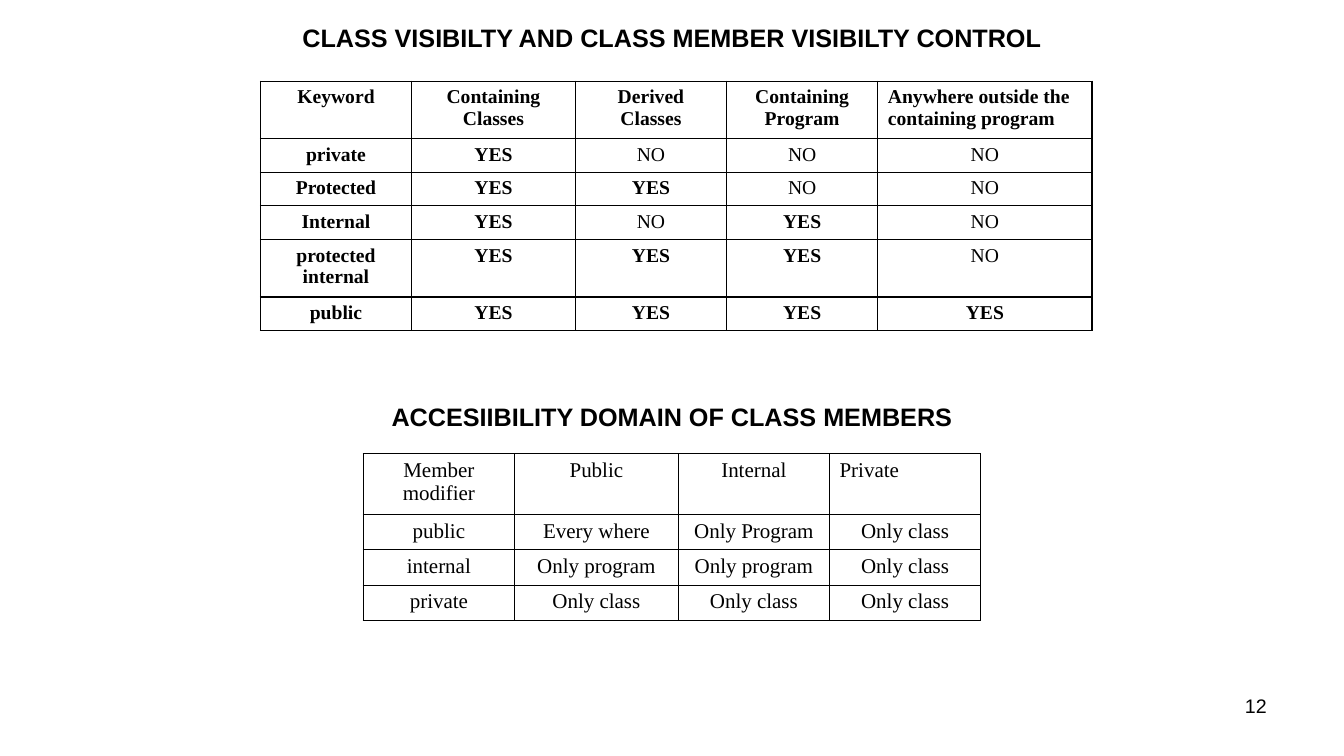
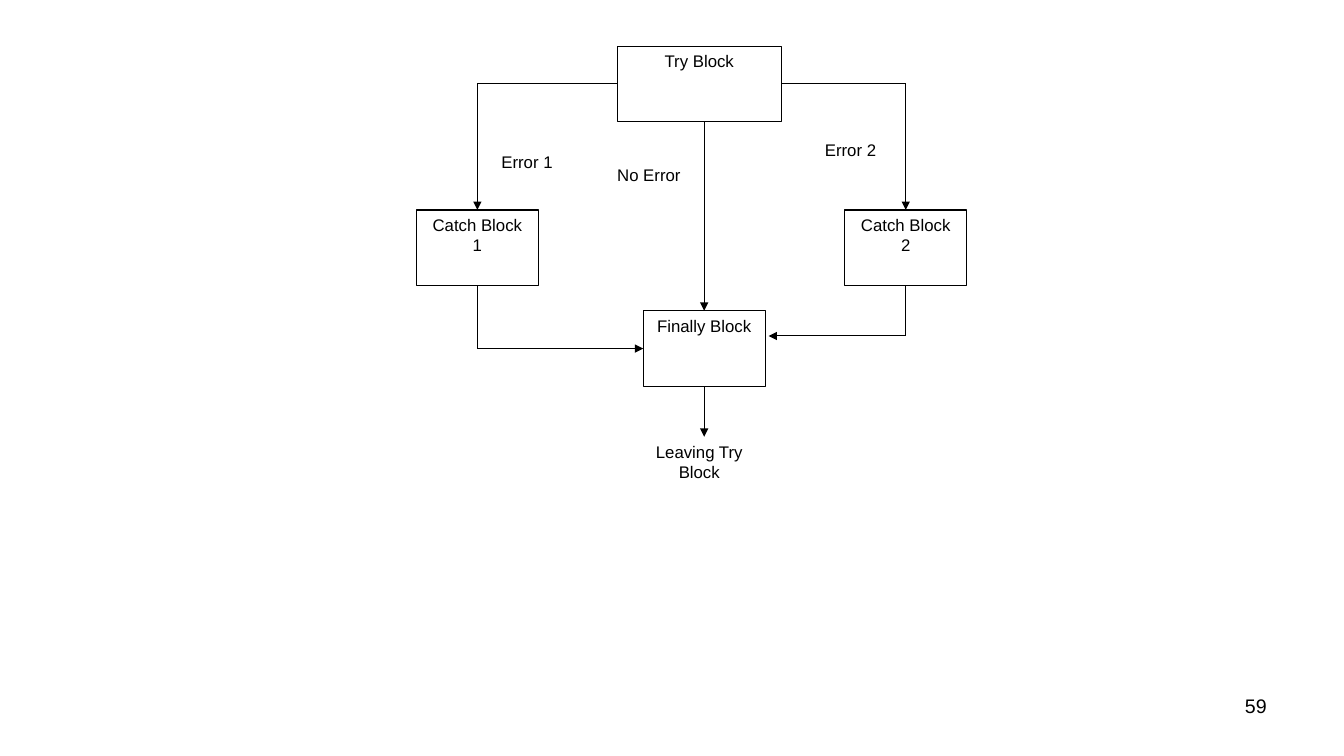
from lxml import etree
from pptx import Presentation
from pptx.dml.color import RGBColor
from pptx.enum.shapes import MSO_CONNECTOR, MSO_SHAPE
from pptx.enum.text import MSO_ANCHOR, PP_ALIGN
from pptx.oxml.ns import qn
from pptx.util import Pt

RECTANGLE = MSO_SHAPE.RECTANGLE
STRAIGHT = MSO_CONNECTOR.STRAIGHT
LEFT, CENTER, RIGHT = PP_ALIGN.LEFT, PP_ALIGN.CENTER, PP_ALIGN.RIGHT
TOP, MIDDLE = MSO_ANCHOR.TOP, MSO_ANCHOR.MIDDLE

BLACK = RGBColor(0x00, 0x00, 0x00)
WHITE = RGBColor(0xFF, 0xFF, 0xFF)
SANS, SERIF = "Arial", "Times New Roman"
SLIDE_WIDTH, SLIDE_HEIGHT = 960, 540
LINE_WIDTH = 0.75
BORDER_WIDTH = 1
TOP_SIDE, LEFT_SIDE, BOTTOM_SIDE, RIGHT_SIDE = range(4)

VISIBILITY = [
    ["Keyword", "Containing Classes", "Derived Classes", "Containing Program",
     "Anywhere outside the containing program"],
    ["private", "YES", "NO", "NO", "NO"],
    ["Protected", "YES", "YES", "NO", "NO"],
    ["Internal", "YES", "NO", "YES", "NO"],
    ["protected internal", "YES", "YES", "YES", "NO"],
    ["public", "YES", "YES", "YES", "YES"],
]
ACCESSIBILITY = [
    ["Member modifier", "Public", "Internal", "Private"],
    ["public", "Every where", "Only Program", "Only class"],
    ["internal", "Only program", "Only program", "Only class"],
    ["private", "Only class", "Only class", "Only class"],
]


class Deck:
    def __init__(self):
        self.presentation = Presentation()
        self.presentation.slide_width = Pt(SLIDE_WIDTH)
        self.presentation.slide_height = Pt(SLIDE_HEIGHT)
        self.slide = None

    def new_slide(self, number):
        layout = self.presentation.slide_layouts[6]
        self.slide = self.presentation.slides.add_slide(layout)
        self.text_box(str(number), 688, 492, 224, 37, 14, RIGHT)

    @staticmethod
    def set_text(frame, text, size, align, font_name=SANS, bold=False):
        paragraph = frame.paragraphs[0]
        paragraph.text = text
        paragraph.alignment = align
        font = paragraph.font
        font.name, font.size, font.bold = font_name, Pt(size), bold
        font.color.rgb = BLACK

    def text_box(self, text, left, top, width, height, size, align, bold=False):
        shape = self.slide.shapes.add_textbox(
            Pt(left), Pt(top), Pt(width), Pt(height))
        shape.text_frame.word_wrap = True
        self.set_text(shape.text_frame, text, size, align, bold=bold)
        return shape

    def title(self, text, top, width):
        """Add a heading centred on the slide."""
        left = (SLIDE_WIDTH - width) / 2
        shape = self.text_box(text, left, top, width, 29, 18, CENTER, True)
        shape.text_frame.word_wrap = False
        shape.text_frame.vertical_anchor = MIDDLE

    def box(self, text, left, top, width, height=54, outline=BLACK, align=CENTER):
        shape = self.slide.shapes.add_shape(
            RECTANGLE, Pt(left), Pt(top), Pt(width), Pt(height))
        shape.shadow.inherit = False
        shape.fill.solid()
        shape.fill.fore_color.rgb = WHITE
        shape.line.color.rgb = outline
        shape.line.width = Pt(LINE_WIDTH)
        shape.text_frame.word_wrap = True
        shape.text_frame.vertical_anchor = TOP
        self.set_text(shape.text_frame, text, 12, align)
        return shape

    def label(self, text, left, top, width=63, height=18, align=CENTER):
        self.box(text, left, top, width, height, WHITE, align)

    def line(self, start, finish, arrow=False, begin=None, end=None):
        """Draw a line; begin and end are (shape, side) pairs to join."""
        connector = self.slide.shapes.add_connector(
            STRAIGHT, *(Pt(value) for value in (*start, *finish)))
        if begin:
            connector.begin_connect(*begin)
        if end:
            connector.end_connect(*end)
        connector.line.color.rgb = BLACK
        connector.line.width = Pt(LINE_WIDTH)
        properties = connector._element.spPr
        if arrow:
            etree.SubElement(properties.find(qn("a:ln")), qn("a:tailEnd"),
                             type="triangle")
        etree.SubElement(properties, qn("a:effectLst"))

    @staticmethod
    def add_borders(cell):
        properties = cell._tc.get_or_add_tcPr()
        for index, side in enumerate(("lnL", "lnR", "lnT", "lnB")):
            border = etree.Element(qn(f"a:{side}"), w=str(Pt(BORDER_WIDTH)))
            fill = etree.SubElement(border, qn("a:solidFill"))
            etree.SubElement(fill, qn("a:srgbClr"), val=str(BLACK))
            properties.insert(index, border)

    def table(self, rows, left, top, widths, heights, size, emphasis=False):
        """Add a grid; emphasis sets headings and every YES in bold."""
        table = self.slide.shapes.add_table(
            len(rows), len(widths), Pt(left), Pt(top),
            Pt(sum(widths)), Pt(sum(heights))).table
        table.first_row = table.horz_banding = False
        for column, width in zip(table.columns, widths):
            column.width = Pt(width)
        for row, height in zip(table.rows, heights):
            row.height = Pt(height)
        for row_index, row in enumerate(rows):
            for column_index, text in enumerate(row):
                cell = table.cell(row_index, column_index)
                cell.fill.solid()
                cell.fill.fore_color.rgb = WHITE
                self.add_borders(cell)
                last_heading = row_index == 0 and column_index == len(row) - 1
                self.set_text(cell.text_frame, text, size,
                              LEFT if last_heading else CENTER,
                              SERIF, emphasis and text != "NO")


def build_visibility_slide(deck):
    deck.new_slide(12)
    deck.title("CLASS VISIBILTY AND CLASS MEMBER VISIBILTY CONTROL", 12, 546)
    deck.table(VISIBILITY, 186, 58, [108, 117, 108, 108, 153],
               [41, 24, 24, 24, 41, 24], 14, emphasis=True)
    deck.title("ACCESIIBILITY DOMAIN OF CLASS MEMBERS", 283, 416)
    deck.table(ACCESSIBILITY, 259.5, 324, [108, 117, 108, 108],
               [43.5, 25.2, 25.2, 25.2], 15)


def build_exception_slide(deck):
    deck.new_slide(59)
    block_width = 87
    first_x, finally_x, second_x = 341, 503, 647
    try_y, catch_bottom, finally_y, return_y = 60, 204, 249, 240

    def block(text, center, top):
        return deck.box(text, center - block_width / 2, top, block_width)

    try_block = deck.box("Try Block", 441, 33, 117)
    first_catch = block("Catch Block 1", first_x, 150)
    second_catch = block("Catch Block 2", second_x, 150)
    finally_block = block("Finally Block", finally_x, 222)

    deck.line((finally_x, 87), (finally_x, 222), True,
              end=(finally_block, TOP_SIDE))
    for x, catch, try_side, turn_y in (
            (first_x, first_catch, LEFT_SIDE, finally_y),
            (second_x, second_catch, RIGHT_SIDE, return_y)):
        deck.line((x, try_y), (x, try_y), begin=(try_block, try_side))
        deck.line((x, try_y), (x, 150), True, end=(catch, TOP_SIDE))
        deck.line((x, catch_bottom), (x, turn_y), begin=(catch, BOTTOM_SIDE))
    deck.line((first_x, finally_y), (459.5, finally_y), True,
              end=(finally_block, LEFT_SIDE))
    deck.line((second_x, return_y), (549, return_y), True)

    deck.label("Leaving Try Block", 459, 312, 81, 36)
    deck.line((finally_x, 276), (finally_x, 312), True,
              begin=(finally_block, BOTTOM_SIDE))
    deck.label("Error 2", 576, 96)
    deck.label("Error 1", 351, 105, align=LEFT)
    deck.label("No Error", 432, 114)


def main():
    deck = Deck()
    build_visibility_slide(deck)
    build_exception_slide(deck)
    deck.presentation.save("out.pptx")


if __name__ == "__main__":
    main()
